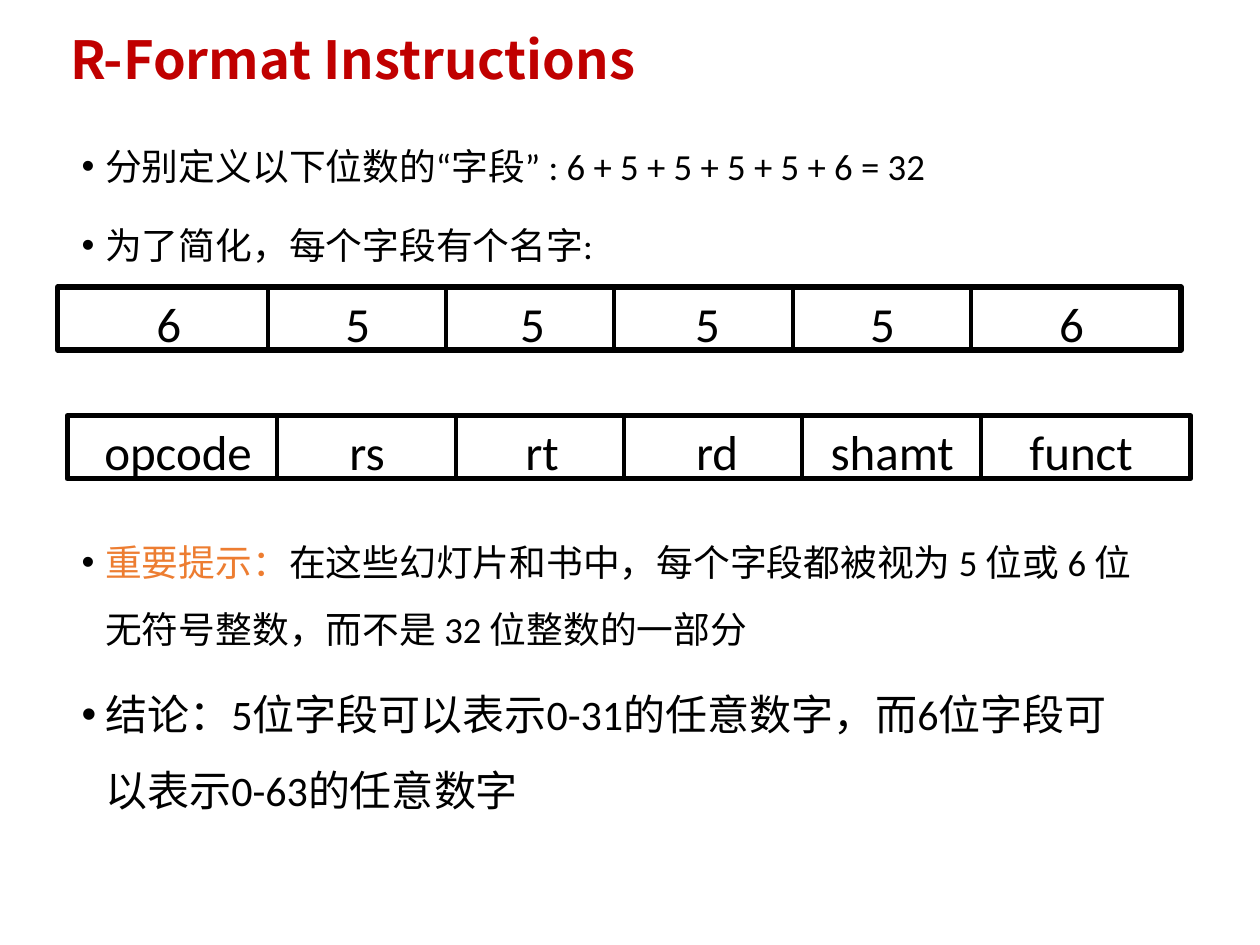
from pptx import Presentation
from pptx.dml.color import RGBColor
from pptx.enum import shapes, text
from pptx.oxml import ns, xmlchemy
from pptx.util import Pt

BLACK = RGBColor(0x00, 0x00, 0x00)
RED = RGBColor(0xC0, 0x00, 0x00)
ORANGE = RGBColor(0xED, 0x7D, 0x31)
BODY_FONT = "Calibri"
TITLE_FONT = "Noto Sans CJK SC"
INSET_X, INSET_Y = 7.2, 3.6

# Field geometry, measured from the left edge of a row
ROW_WIDTH, ROW_HEIGHT = 642, 36
DIVIDERS = (120, 222, 318, 420, 522)
CENTERS = (63.4, 171.4, 271.4, 371.4, 471.4, 579.4)

# Each field is a label and the width of its text box
BIT_COUNTS = [(bits, 30) for bits in "655556"]
FIELD_NAMES = [("opcode", 100), ("rs", 37), ("rt", 37),
               ("rd", 41), ("shamt", 87), ("funct", 75)]

# Each bullet is its size, space before and coloured runs
BULLETS = [
    (21, 7.5, [("分别定义以下位数的“字段” : 6 + 5 + 5 + 5 + 5 + 6 = 32", BLACK)]),
    (21, 7.5, [("为了简化，每个字段有个名字:", BLACK)]),
    (21, 143.5, [("重要提示：", ORANGE),
                 ("在这些幻灯片和书中，每个字段都被视为 5 位或 6 位无符号整数，"
                  "而不是 32 位整数的一部分", BLACK)]),
    (24, 7.5, [("结论：5位字段可以表示0-31的任意数字，"
                "而6位字段可以表示0-63的任意数字", BLACK)]),
]


def add_box(parent, left, top, width, height, wrap=True):
    sp = parent.add_textbox(Pt(left), Pt(top), Pt(width), Pt(height))
    tf = sp.text_frame
    tf.word_wrap = wrap
    tf.margin_left = tf.margin_right = Pt(INSET_X)
    tf.margin_top = tf.margin_bottom = Pt(INSET_Y)
    return tf


def add_run(p, words, size, color, font=BODY_FONT, bold=False):
    r = p.add_run()
    r.text = words
    r.font.name = font
    r.font.size = Pt(size)
    r.font.bold = bold
    r.font.color.rgb = color
    ea = xmlchemy.OxmlElement("a:ea")
    ea.set("typeface", font)
    r.font._element.find(ns.qn("a:latin")).addnext(ea)


def set_bullet(p):
    pPr = p._p.get_or_add_pPr()
    pPr.set("marL", str(Pt(13.5)))
    pPr.set("indent", str(-Pt(13.5)))
    color = xmlchemy.OxmlElement("a:buClr")
    rgb = xmlchemy.OxmlElement("a:srgbClr")
    rgb.set("val", str(BLACK))
    color.append(rgb)
    font = xmlchemy.OxmlElement("a:buFont")
    font.set("typeface", "Arial")
    char = xmlchemy.OxmlElement("a:buChar")
    char.set("char", "•")
    pPr.extend([color, font, char])


def add_title(s, words):
    tf = add_box(s.shapes, 33, 18, 621, 36)
    tf.vertical_anchor = text.MSO_ANCHOR.MIDDLE
    p = tf.paragraphs[0]
    p.line_spacing = 0.9
    add_run(p, words, 30, RED, TITLE_FONT, bold=True)


def add_bullets(s, bullets):
    tf = add_box(s.shapes, 39.6, 66, 621.4, 420)
    for i, (size, space_before, runs) in enumerate(bullets):
        p = tf.add_paragraph() if i else tf.paragraphs[0]
        p.line_spacing = 1.5
        p.space_before = Pt(space_before)
        set_bullet(p)
        for words, color in runs:
            add_run(p, words, size, color)


def add_divider(parent, x, top):
    line = parent.add_connector(shapes.MSO_CONNECTOR.STRAIGHT,
                                Pt(x), Pt(top), Pt(x), Pt(top + ROW_HEIGHT))
    line.line.color.rgb = BLACK
    line.line.width = Pt(2.25)
    line._element.spPr.append(xmlchemy.OxmlElement("a:effectLst"))


def add_field_row(s, left, top, fields):
    row = s.shapes.add_group_shape().shapes
    # Labels
    for center, (label, width) in zip(CENTERS, fields):
        tf = add_box(row, left + center - width / 2, top, width, 41, wrap=False)
        tf.auto_size = text.MSO_AUTO_SIZE.SHAPE_TO_FIT_TEXT
        p = tf.paragraphs[0]
        p.alignment = text.PP_ALIGN.CENTER
        add_run(p, label, 28, BLACK)
    # Frame
    sp = row.add_shape(shapes.MSO_SHAPE.RECTANGLE, Pt(left), Pt(top),
                       Pt(ROW_WIDTH), Pt(ROW_HEIGHT))
    sp.shadow.inherit = False
    sp.fill.background()
    sp.line.color.rgb = BLACK
    sp.line.width = Pt(3)
    # Dividers
    for x in DIVIDERS:
        add_divider(row, left + x, top)


def main():
    prs = Presentation()
    prs.slide_width, prs.slide_height = Pt(720), Pt(540)
    s = prs.slides.add_slide(prs.slide_layouts[6])
    add_title(s, "R-Format Instructions")
    add_bullets(s, BULLETS)
    add_field_row(s, 33, 164, BIT_COUNTS)
    add_field_row(s, 38.4, 237.6, FIELD_NAMES)
    prs.save("out.pptx")


if __name__ == "__main__":
    main()
